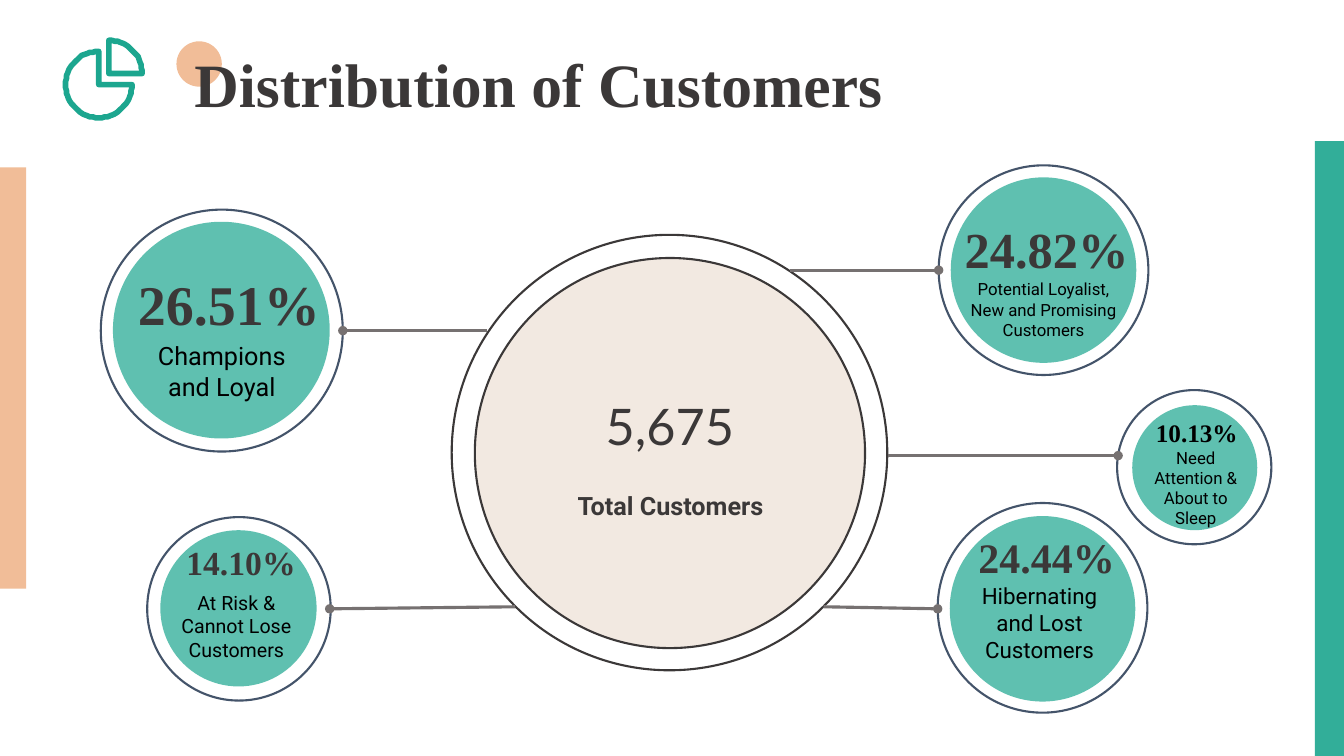
import math
from lxml import etree
from pptx import Presentation, util as u
from pptx.dml import color
from pptx.enum import shapes, text
from pptx.oxml import ns

PX = 9144  # EMU per px, 100 px to the inch
INK, SLATE, GREY, BLACK = "3B3838", "44546A", "767171", "000000"
TEAL, PEACH, CREAM = "1CA68F", "F1BD98", "F2E9E1"
SERIF, SANS = "Times New Roman", "Roboto"

prs = Presentation()
prs.slide_width, prs.slide_height = 1333 * PX, 750 * PX
slide = prs.slides.add_slide(prs.slide_layouts[6])
rgb = color.RGBColor.from_string


def paint(shape, fill=None, line=None, width=1.5, opacity=100):
    shape.shadow.inherit = False
    if fill:
        shape.fill.solid()
        shape.fill.fore_color.rgb = rgb(fill)
        if opacity < 100:
            tint = shape.fill._xPr.find(".//" + ns.qn("a:srgbClr"))
            etree.SubElement(tint, ns.qn("a:alpha"), val=str(opacity * 1000))
    else:
        shape.fill.background()
    if line:
        shape.line.color.rgb = rgb(line)
        shape.line.width = u.Pt(width)
    else:
        shape.line.fill.background()


def write(box, words, size, font=SANS, ink=BLACK, bold=False):
    label = slide.shapes.add_textbox(*[n * PX for n in box])
    frame = label.text_frame
    frame.word_wrap = True
    frame.margin_left = frame.margin_right = frame.margin_bottom = 0
    frame.margin_top = PX
    paragraph = frame.paragraphs[0]
    paragraph.alignment = text.PP_ALIGN.CENTER
    run = paragraph.add_run()
    run.text = words
    run.font.size, run.font.name, run.font.bold = u.Pt(size), font, bold
    run.font.color.rgb = rgb(ink)
    return frame


# Circles: left, top, diameter, fill, outline, opacity
circles = [
    (175, 41, 45, PEACH, None, 100),  # title dot
    (448, 233, 432, None, INK, 100),  # total customers
    (471, 256, 387, CREAM, INK, 100),
]
# Segments: ring and disc, each as left, top, diameter
segments = [
    ((100, 208, 240), (112, 220, 215)),
    ((146, 513, 182), (159, 526, 155)),
    ((931, 164, 208), (943, 176, 184)),
    ((1108, 387, 153), (1123, 402, 124)),
    ((930, 499, 208), (942, 512, 184)),
]
for ring, disc in segments:
    circles += [(*ring, None, SLATE, 100), (*disc, TEAL, None, 70)]
for left, top, size, fill, line, opacity in circles:
    circle = slide.shapes.add_shape(
        shapes.MSO_SHAPE.OVAL, left * PX, top * PX, size * PX, size * PX)
    paint(circle, fill, line, opacity=opacity)

# Links from the segments to the total
for ends in [
    (340, 328, 483, 328),
    (327, 604, 511, 602),
    (931, 268, 784, 268),
    (1109, 452, 881, 452),
    (930, 604, 817, 602),
]:
    link = slide.shapes.add_connector(
        shapes.MSO_CONNECTOR.STRAIGHT, *[n * PX for n in ends])
    link.line.color.rgb = rgb(GREY)
    link.line.width = u.Pt(2.25)
    etree.SubElement(link.line._get_or_add_ln(), ns.qn("a:headEnd"), type="oval")
    etree.SubElement(link._element.spPr, ns.qn("a:effectLst"))

# Total
write((488, 391, 353, 72), "5,675", 36, "Lato", INK)
write((509, 485, 312, 40), "Total Customers", 18, SANS, INK, True)

# Shares
for box, share, size, ink in [
    ((129, 266, 196, 87), "26.51%", 40, INK),
    ((168, 537, 142, 55), "14.10%", 24, INK),
    ((940, 215, 196, 87), "24.82%", 36, INK),
    ((1141, 413, 92, 44), "10.13%", 18, BLACK),
    ((954, 526, 168, 50), "24.44%", 30, INK),
]:
    write(box, share, size, SERIF, ink, True)

# Segment names
for box, name, size in [
    ((133, 337, 174, 58), "Champions and Loyal", 18),
    ((171, 585, 127, 58), "At Risk & Cannot Lose Customers", 14),
    ((961, 276, 148, 67), "Potential Loyalist, New and Promising Customers", 12),
    ((1139, 443, 94, 57), "Need Attention & About to Sleep", 12),
    ((957, 577, 148, 104), "Hibernating and Lost Customers", 16),
]:
    write(box, name, size)

# Pie icon: centre and sweep of each slice
for x, y, start, end in [(98, 84, 0, 270), (108, 73, -90, 0)]:
    arc = [(x + 33 * math.cos(math.radians(a)), y + 33 * math.sin(math.radians(a)))
           for a in range(start, end + 1, 5)]
    builder = slide.shapes.build_freeform(x, y, scale=PX)
    builder.add_line_segments(arc, close=True)
    pie = builder.convert_to_shape()
    paint(pie, line=TEAL, width=4)
    etree.SubElement(pie.line._get_or_add_ln(), ns.qn("a:round"))

# Title
title = write((183, 14, 1150, 145), "Distribution of Customers", 44, SERIF, INK, True)
title.margin_left = title.margin_right = 10 * PX
title.margin_top = title.margin_bottom = 5 * PX
title.vertical_anchor = text.MSO_ANCHOR.MIDDLE
title.paragraphs[0].alignment = text.PP_ALIGN.LEFT
title.paragraphs[0].line_spacing = 0.9

# Side bars
for box, fill, opacity in [((0, 166, 26, 418), PEACH, 100),
                           ((1304, 140, 31, 610), TEAL, 90)]:
    bar = slide.shapes.add_shape(
        shapes.MSO_SHAPE.RECTANGLE, *[n * PX for n in box])
    paint(bar, fill, opacity=opacity)

prs.save("out.pptx")
